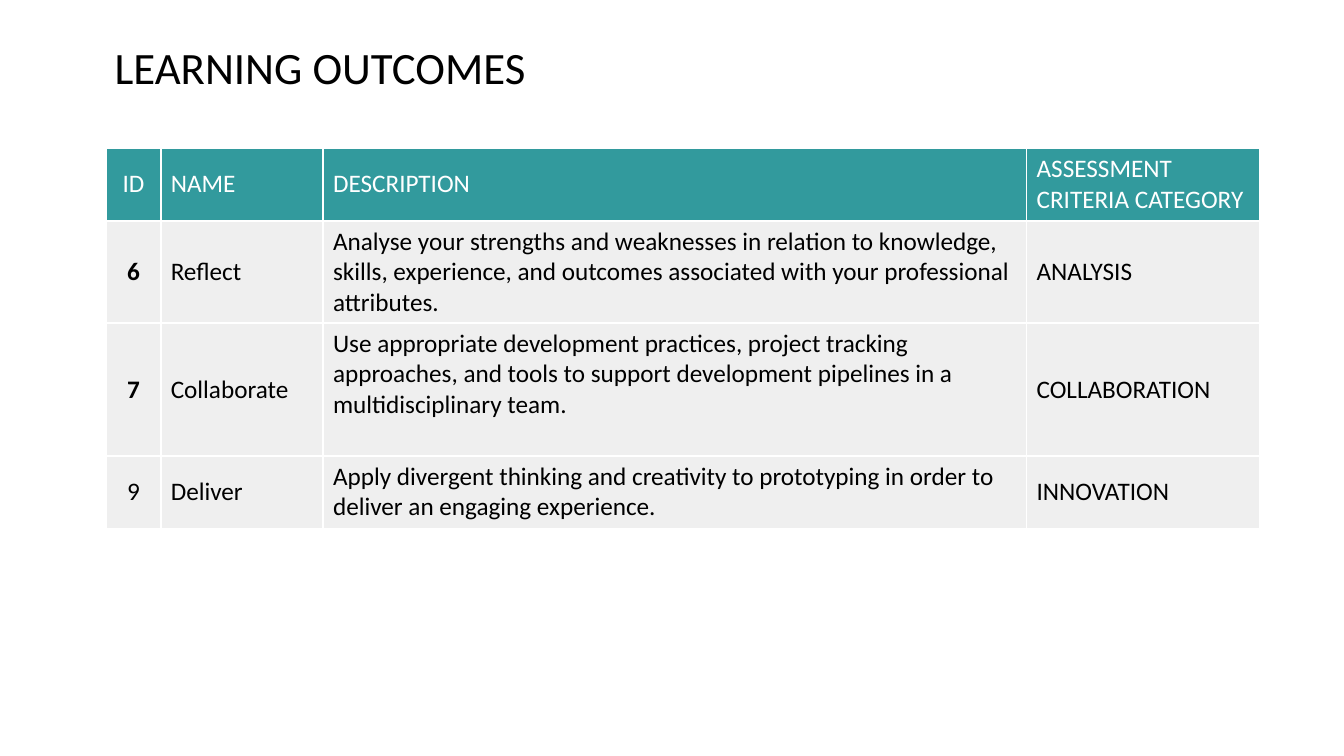
from lxml import etree
from pptx import Presentation
from pptx import util as u
from pptx.dml.color import RGBColor
from pptx.enum import text
from pptx.oxml.ns import qn

COLORS = {"ink": "000000", "paper": "FFFFFF", "header": "329A9D", "row": "EFEFEF"}

COLUMN_WIDTHS = [1.37, 4.09, 17.73, 5.87]
ROW_HEIGHTS = [1.85, 2.57, 3.35, 1.83]
OUTCOMES = [
    ["ID", "NAME", "DESCRIPTION", "ASSESSMENT CRITERIA CATEGORY"],
    ["6", "Reflect",
     "Analyse your strengths and weaknesses in relation to knowledge, skills, "
     "experience, and outcomes associated with your professional attributes.",
     "ANALYSIS"],
    ["7", "Collaborate",
     "Use appropriate development practices, project tracking approaches, and "
     "tools to support development pipelines in a multidisciplinary team.",
     "COLLABORATION"],
    ["9", "Deliver",
     "Apply divergent thinking and creativity to prototyping in order to "
     "deliver an engaging experience.",
     "INNOVATION"],
]
BOLD_IDS = {"6", "7"}
ID_COLUMN, DESCRIPTION_COLUMN = 0, 2


class SlideBuilder:
    font_name = "Calibri"
    title_size = 32
    table_size = 18
    border_width = 1.5

    def __init__(self, slide):
        self.slide = slide

    def style(self, paragraph, size, color, bold=False):
        font = paragraph.font
        font.name = self.font_name
        font.size = u.Pt(size)
        font.bold = bold
        font.color.rgb = RGBColor.from_string(COLORS[color])

    def title(self, words, left, top, width, height):
        box = self.slide.shapes.add_textbox(u.Cm(left), u.Cm(top), u.Cm(width), u.Cm(height))
        box.text_frame.word_wrap = True
        paragraph = box.text_frame.paragraphs[0]
        paragraph.text = words
        paragraph.line_spacing = 0.9
        self.style(paragraph, self.title_size, "ink")

    def borders(self, cell):
        properties = cell._tc.get_or_add_tcPr()
        for position, side in enumerate(("a:lnL", "a:lnR", "a:lnT", "a:lnB")):
            line = etree.Element(qn(side), w=str(u.Pt(self.border_width)))
            fill = etree.SubElement(line, qn("a:solidFill"))
            etree.SubElement(fill, qn("a:srgbClr"), val=COLORS["paper"])
            properties.insert(position, line)

    def cell(self, cell, words, fill, color, centered, bold, anchor):
        cell.fill.solid()
        cell.fill.fore_color.rgb = RGBColor.from_string(COLORS[fill])
        cell.vertical_anchor = anchor
        self.borders(cell)
        paragraph = cell.text_frame.paragraphs[0]
        paragraph.text = words
        paragraph.alignment = text.PP_ALIGN.CENTER if centered else text.PP_ALIGN.LEFT
        self.style(paragraph, self.table_size, color, bold)

    def table(self, rows, left, top, widths, heights):
        frame = self.slide.shapes.add_table(
            len(rows), len(widths), u.Cm(left), u.Cm(top),
            u.Cm(sum(widths)), u.Cm(sum(heights)))
        table = frame.table
        for column, width in zip(table.columns, widths):
            column.width = u.Cm(width)
        for row, height in zip(table.rows, heights):
            row.height = u.Cm(height)
        for i, row in enumerate(rows):
            is_header = i == 0
            for j, words in enumerate(row):
                at_top = j == DESCRIPTION_COLUMN and not is_header
                self.cell(
                    table.cell(i, j), words,
                    fill="header" if is_header else "row",
                    color="paper" if is_header else "ink",
                    centered=j == ID_COLUMN,
                    bold=j == ID_COLUMN and words in BOLD_IDS,
                    anchor=text.MSO_ANCHOR.TOP if at_top else text.MSO_ANCHOR.MIDDLE)


def main():
    presentation = Presentation()
    presentation.slide_width = u.Cm(33.87)
    presentation.slide_height = u.Cm(19.05)
    builder = SlideBuilder(presentation.slides.add_slide(presentation.slide_layouts[6]))
    builder.title("LEARNING OUTCOMES", 2.64, 1.02, 22.33, 1.75)
    builder.table(OUTCOMES, 2.68, 3.72, COLUMN_WIDTHS, ROW_HEIGHTS)
    presentation.save("out.pptx")


if __name__ == "__main__":
    main()
